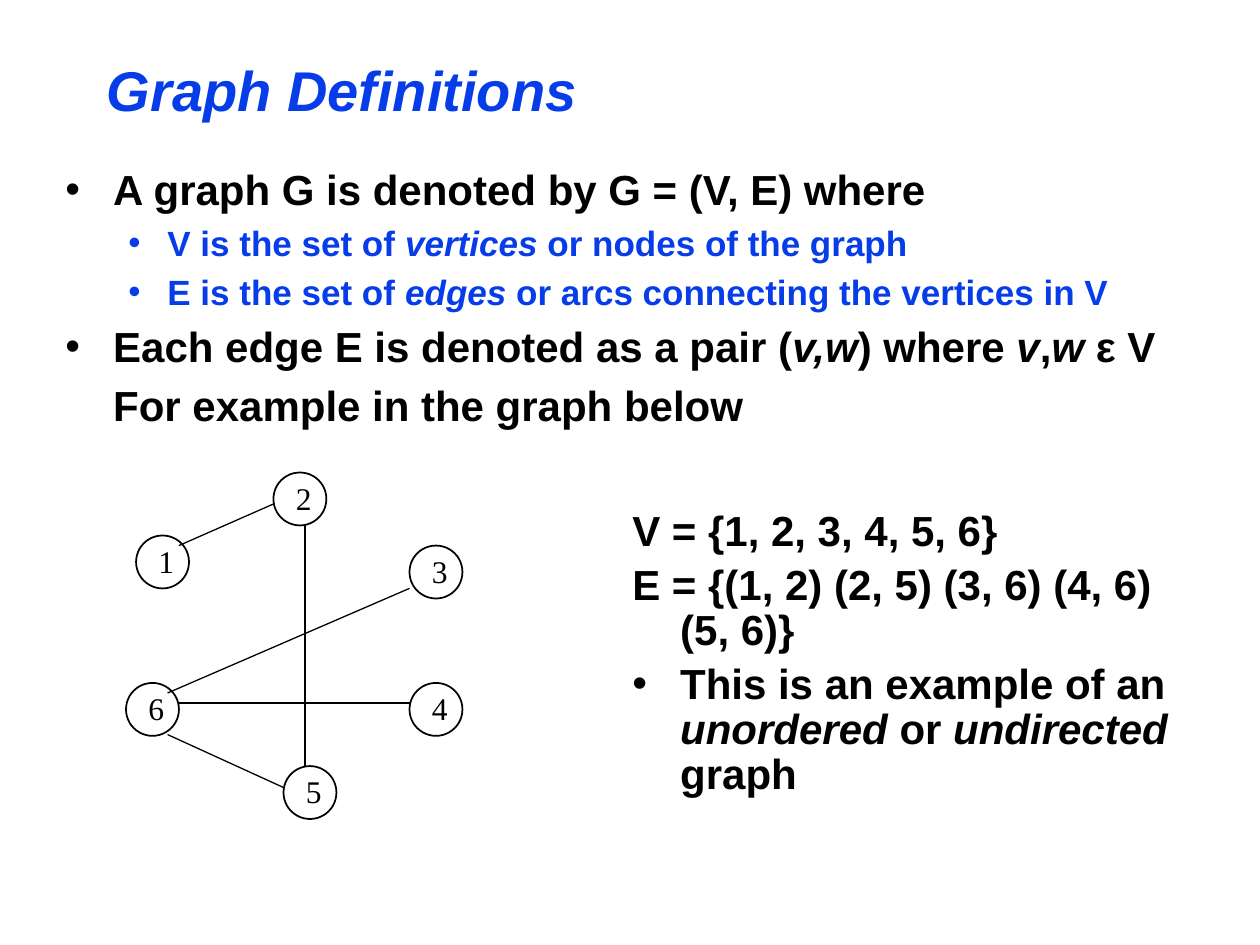
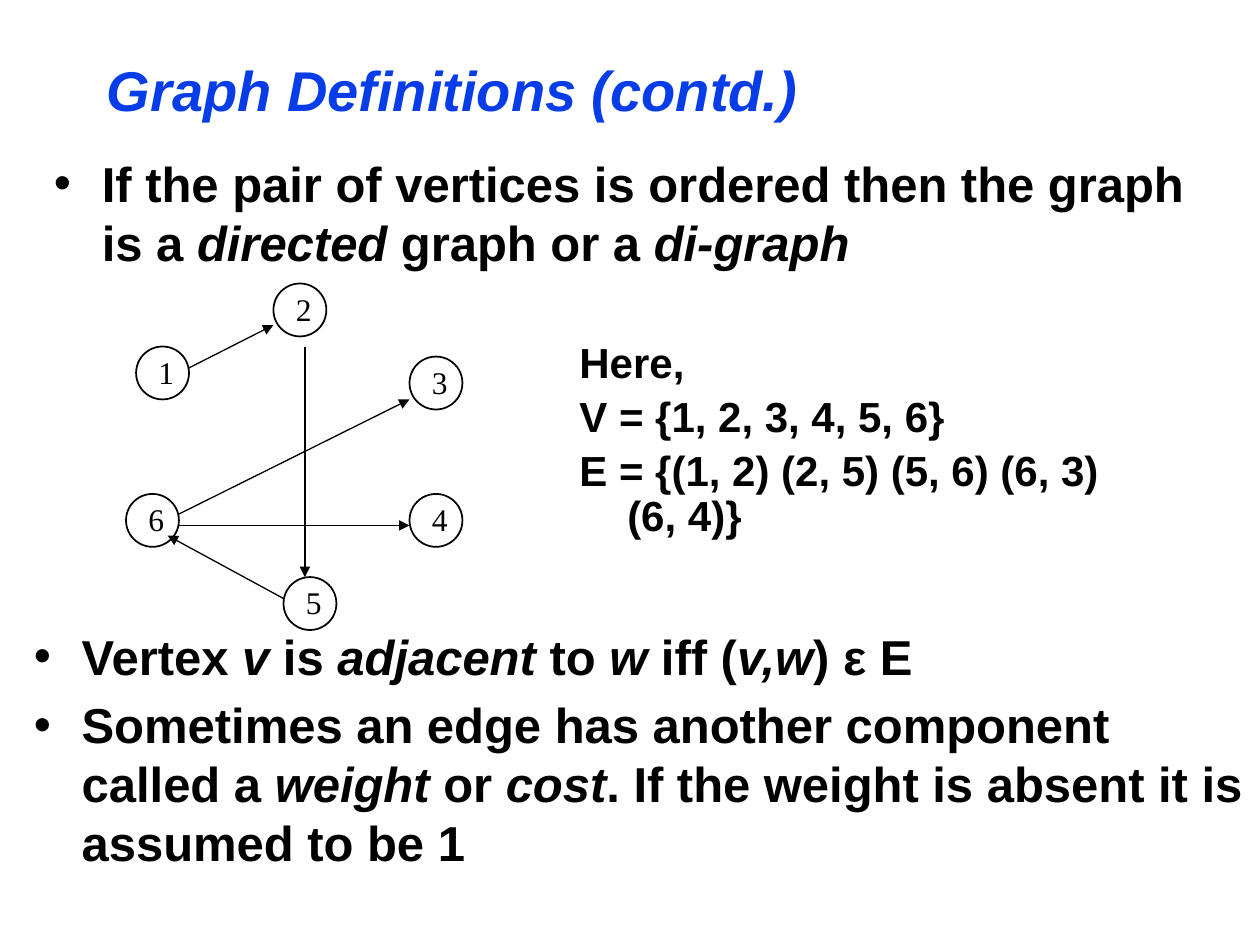
from lxml import etree
from pptx import Presentation
from pptx.dml.color import RGBColor
from pptx.enum.shapes import MSO_CONNECTOR, MSO_SHAPE
from pptx.enum.text import MSO_ANCHOR
from pptx.oxml.ns import qn
from pptx.util import Inches, Pt

OVAL = MSO_SHAPE.OVAL
STRAIGHT = MSO_CONNECTOR.STRAIGHT
MIDDLE = MSO_ANCHOR.MIDDLE
BLUE = RGBColor(0x06, 0x3D, 0xE8)
BLACK = RGBColor(0, 0, 0)
SANS, SERIF = "Arial", "Times New Roman"

NODE_SIZE = 0.42
NODES = {"1": (1.08, 0.5), "2": (2.17, 0), "5": (2.25, 2.33),
         "6": (1, 1.67), "4": (3.25, 1.67), "3": (3.25, 0.58)}

# kind: (left margin, first-line indent, bullet, colour)
KINDS = {
    "bullet": (0.38, -0.38, True, BLACK),
    "sub": (0.81, -0.31, True, BLUE),
    "plain": (0.38, 0, False, BLACK),
    "hanging": (0.38, -0.38, False, BLACK),
}

SLIDES = [
    {
        "title": "Graph Definitions",
        "texts": [
            {"at": (0.42, 1.25, 8.92, 2.61), "size": 24, "spacing": 1, "lines": [
                ("bullet", "A graph G is denoted by G = (V, E) where"),
                ("sub", "V is the set of *vertices* or nodes of the graph"),
                ("sub", "E is the set of *edges* or arcs connecting the vertices in V"),
                ("bullet", "Each edge E is denoted as a pair (*v,w*) where *v*,*w *ε V"),
                ("plain", "For example in the graph below"),
            ]},
            {"at": (4.92, 4, 4.58, 2.25), "size": 24, "spacing": 0.9, "lines": [
                ("hanging", "V = {1, 2, 3, 4, 5, 6}"),
                ("hanging", "E = {(1, 2) (2, 5) (3, 6) (4, 6) (5, 6)}"),
                ("bullet", "This is an example of an *unordered* or *undirected *graph"),
            ]},
        ],
        "graph_top": 3.75,
        "directed": False,
        "edges": [((1.42, 0.58), (2.17, 0.25)), ((2.42, 0.42), (2.42, 2.33)),
                  ((1.42, 1.83), (3.25, 1.83)), ((1.33, 2.08), (2.25, 2.5)),
                  ((1.33, 1.75), (3.25, 0.92))],
    },
    {
        "title": "Graph Definitions (contd.)",
        "texts": [
            {"at": (0.33, 1.17, 9.42, 1.25), "size": 28, "spacing": 1, "lines": [
                ("bullet", "If the pair of vertices is ordered then the graph is a "
                           "*directed* graph or a *di-graph*"),
            ]},
            {"at": (4.5, 2.67, 4.58, 1.92), "size": 24, "spacing": 0.9, "lines": [
                ("hanging", "Here,"),
                ("hanging", "V = {1, 2, 3, 4, 5, 6}"),
                ("hanging", "E = {(1, 2) (2, 5) (5, 6) (6, 3) (6, 4)}"),
            ]},
            {"at": (0.17, 4.92, 9.83, 1.83), "size": 28, "spacing": 1, "lines": [
                ("bullet", "Vertex *v* is *adjacent* to *w* iff (*v,w*) ε E"),
                ("bullet", "Sometimes an edge has another component called a *weight* "
                           "or *cost*. If the weight is absent it is assumed to be 1"),
            ]},
        ],
        "graph_top": 2.25,
        "directed": True,
        "edges": [((1.5, 0.67), (2.17, 0.33)), ((2.42, 0.5), (2.42, 2.33)),
                  ((1.42, 1.83), (3.25, 0.92)), ((1.42, 1.92), (3.25, 1.92)),
                  ((2.25, 2.5), (1.33, 2))],
    },
]


def add_box(s, at, wrap=True):
    tf = s.shapes.add_textbox(*map(Inches, at)).text_frame
    tf.word_wrap = wrap
    return tf


def style(r, font, size, color, bold=False, italic=False):
    r.font.name, r.font.size = font, Pt(size)
    r.font.bold, r.font.italic = bold, italic
    r.font.color.rgb = color


def add_title(s, text):
    tf = add_box(s, (0.75, 0.33, 8.5, 0.75))
    tf.vertical_anchor = MIDDLE
    tf.text = text
    style(tf.paragraphs[0].runs[0], SANS, 32, BLUE, True, True)


def add_text(s, at, size, spacing, lines):
    tf = add_box(s, at)
    for i, (kind, text) in enumerate(lines):
        margin, indent, bullet, color = KINDS[kind]
        p = tf.add_paragraph() if i else tf.paragraphs[0]
        pt = 20 if kind == "sub" else size
        p.line_spacing = spacing
        p.space_before = Pt(0.2 * pt if i else 0)
        pPr = p._p.get_or_add_pPr()
        pPr.set("marL", str(Inches(margin)))
        pPr.set("indent", str(Inches(indent)))
        if bullet:
            etree.SubElement(pPr, qn("a:buFont"), typeface=SANS)
            etree.SubElement(pPr, qn("a:buChar"), char="•")
        else:
            etree.SubElement(pPr, qn("a:buNone"))
        for j, part in enumerate(text.split("*")):
            if part:
                r = p.add_run()
                r.text = part
                style(r, SANS, pt, color, True, j % 2 == 1)


def add_node(s, label, x, y):
    sp = s.shapes.add_shape(OVAL, Inches(x), Inches(y), Inches(NODE_SIZE), Inches(NODE_SIZE))
    sp.shadow.inherit = False
    sp.fill.background()
    sp.line.color.rgb = BLACK
    sp.line.width = Pt(1)
    tf = add_box(s, (x + 0.08, y, 0.33, 0.4), wrap=False)
    tf.text = label
    style(tf.paragraphs[0].runs[0], SERIF, 18, BLACK)


def add_edge(s, top, start, end, directed):
    (x1, y1), (x2, y2) = start, end
    edge = s.shapes.add_connector(STRAIGHT, *map(Inches, (x1, top + y1, x2, top + y2)))
    edge.line.color.rgb = BLACK
    edge.line.width = Pt(0.75)
    spPr = edge._element.spPr
    if directed:
        etree.SubElement(spPr.find(qn("a:ln")), qn("a:tailEnd"), type="triangle")
    etree.SubElement(spPr, qn("a:effectLst"))


def main():
    prs = Presentation()
    prs.slide_width, prs.slide_height = Inches(10), Inches(7.5)
    for content in SLIDES:
        s = prs.slides.add_slide(prs.slide_layouts[6])
        add_title(s, content["title"])
        for text in content["texts"]:
            add_text(s, **text)
        top = content["graph_top"]
        for label, (x, y) in NODES.items():
            add_node(s, label, x, top + y)
        for start, end in content["edges"]:
            add_edge(s, top, start, end, content["directed"])
    prs.save("out.pptx")


if __name__ == "__main__":
    main()
